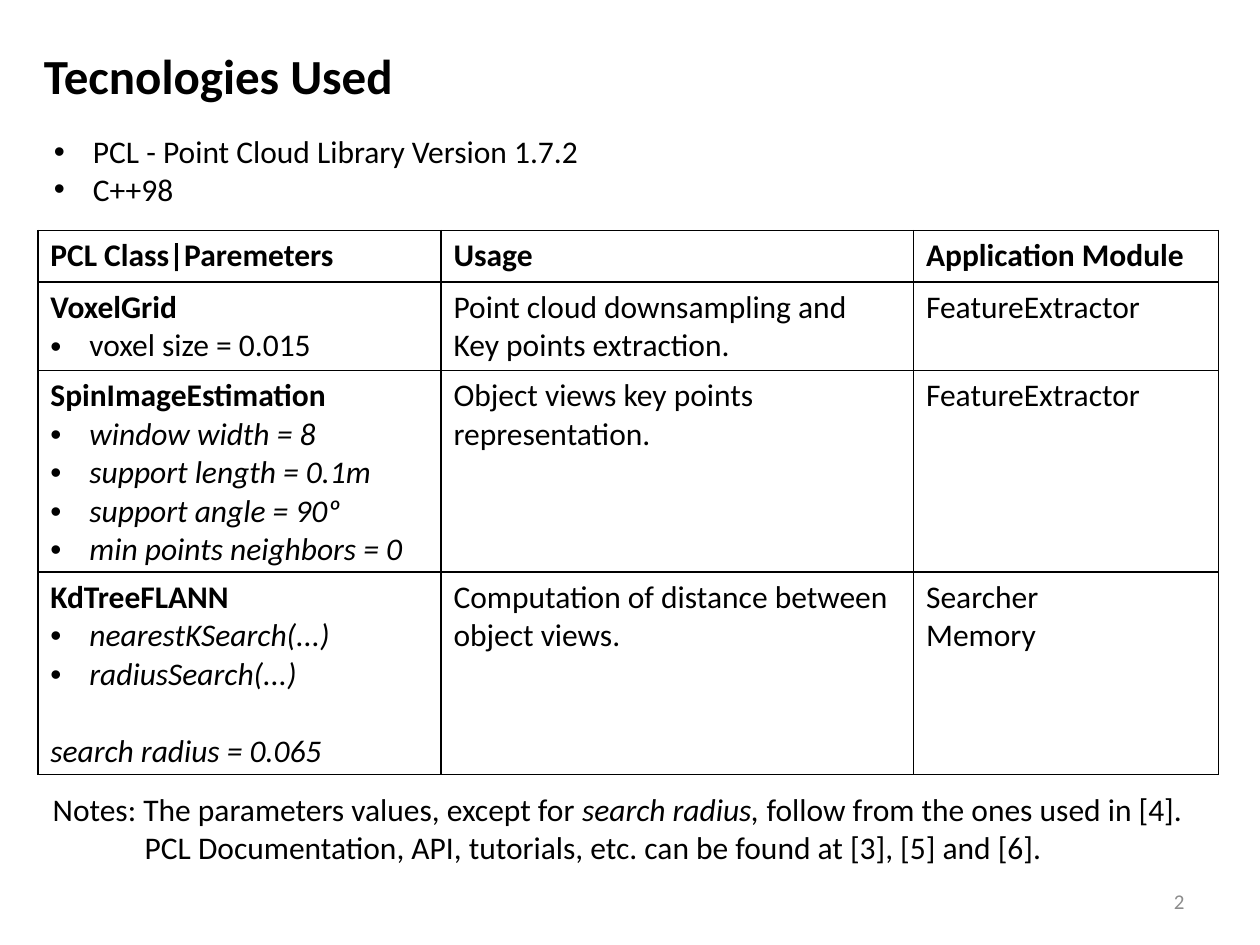
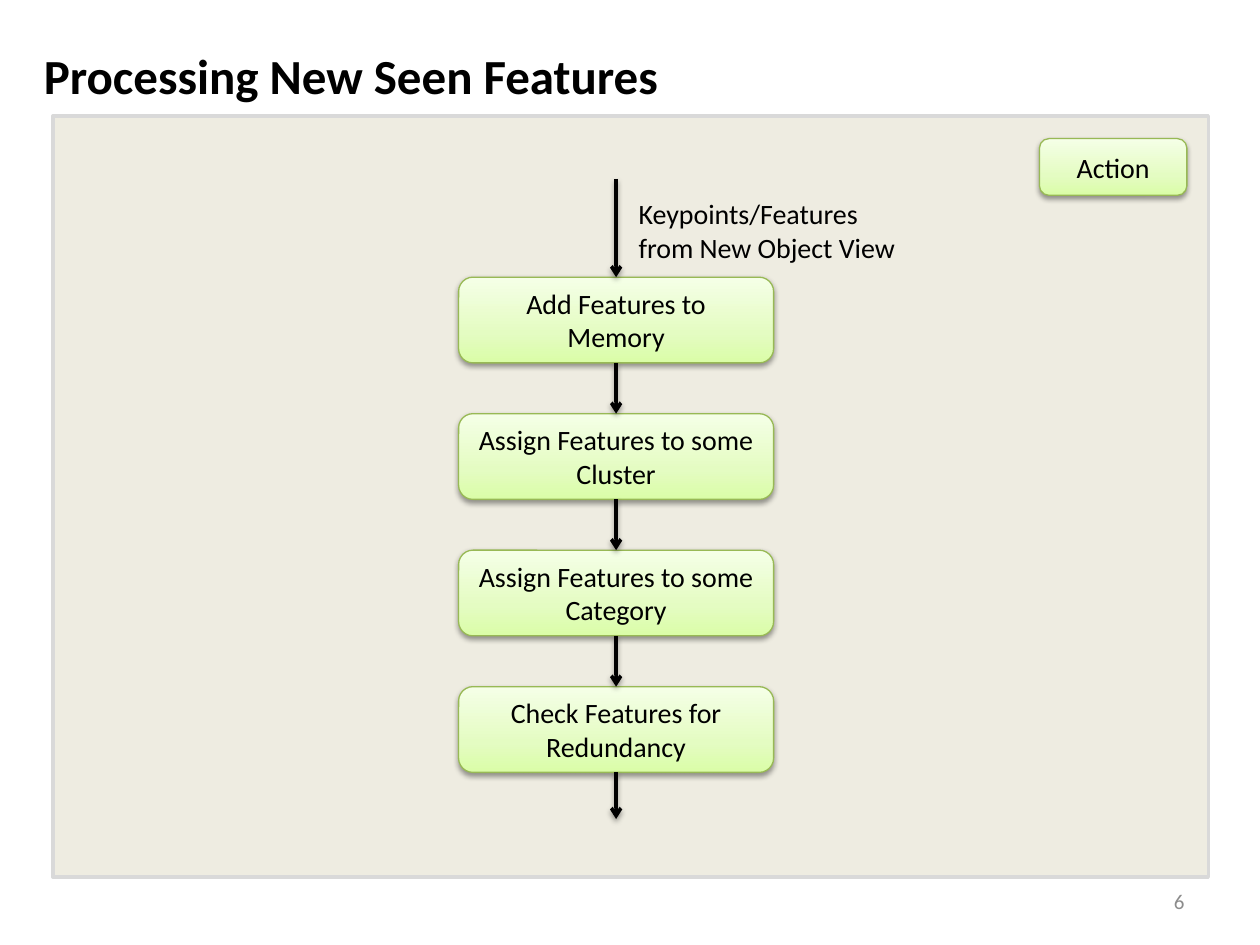
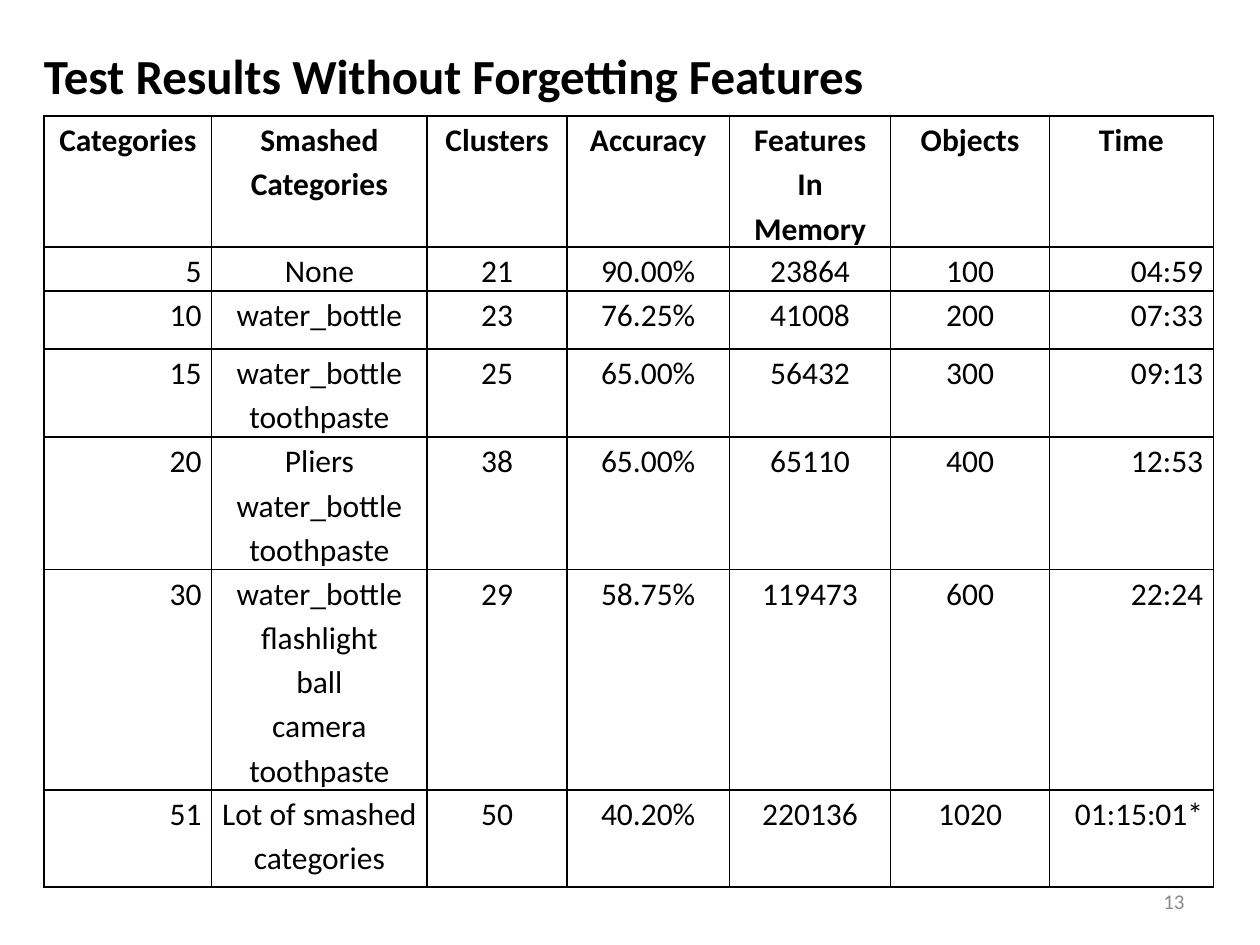
from dataclasses import dataclass

from lxml.etree import SubElement
from pptx import Presentation
from pptx.dml.color import RGBColor
from pptx.enum.shapes import MSO_CONNECTOR, MSO_SHAPE
from pptx.enum.text import MSO_ANCHOR, MSO_AUTO_SIZE, PP_ALIGN
from pptx.oxml.ns import qn
from pptx.util import Inches, Pt


@dataclass(frozen=True)
class Theme:
    font: str = "Calibri"
    text: str = "000000"
    muted: str = "8C8C8C"
    panel: str = "EEECE1"
    panel_edge: str = "D9D9D9"
    step_edge: str = "98B955"
    step_stops: tuple = ((0, "DAFDA7"), (35, "E4FCC2"), (100, "F5FFE7"))
    title_size: int = 28
    body_size: int = 18
    label_size: int = 16
    number_size: int = 12


T = Theme()
LEFT, CENTER, RIGHT, JUSTIFY = (
    PP_ALIGN.LEFT, PP_ALIGN.CENTER, PP_ALIGN.RIGHT, PP_ALIGN.JUSTIFY)


@dataclass
class Para:
    """A paragraph; runs are (text, style), style being "", "b" or "i"."""
    runs: list
    align: PP_ALIGN = LEFT
    bullet: bool = False
    indent: float = 0
    before: int = 0
    spacing: float = 1.0


def line(text, style="", **options):
    return Para([(text, style)], **options)


def bullet(text, style="", **options):
    return line(text, style, bullet=True, indent=0.31, **options)


def rgb(value):
    return RGBColor.from_string(value)


# Text and effects
def write(tf, paras, size, color=T.text):
    tf.word_wrap = True
    for i, para in enumerate(paras):
        p = tf.paragraphs[0] if i == 0 else tf.add_paragraph()
        p.alignment = para.align
        p.line_spacing = para.spacing
        p.space_before = Pt(para.before)
        pPr = p._p.get_or_add_pPr()
        if para.indent:
            pPr.set("marL", str(Inches(para.indent)))
        if para.bullet:
            pPr.set("indent", str(-Inches(para.indent)))
            SubElement(pPr, qn("a:buFont"), typeface="Arial")
            SubElement(pPr, qn("a:buChar"), char="•")
        for text, style in para.runs:
            r = p.add_run()
            r.text = text
            r.font.name = T.font
            r.font.size = Pt(size)
            r.font.bold = style == "b"
            r.font.italic = style == "i"
            r.font.color.rgb = rgb(color)


def add_text(s, box, paras, size, color=T.text, grow=False):
    tb = s.shapes.add_textbox(*map(Inches, box))
    tf = tb.text_frame
    write(tf, paras, size, color)
    if grow:
        tf.auto_size = MSO_AUTO_SIZE.SHAPE_TO_FIT_TEXT
    else:
        tf.vertical_anchor = MSO_ANCHOR.MIDDLE


def add_shadow(shape):
    """Soft shadow straight below; call once the line is set."""
    effects = SubElement(shape._element.spPr, qn("a:effectLst"))
    outer = SubElement(effects, qn("a:outerShdw"), blurRad=str(Pt(3.1)),
                       dist=str(Pt(1.6)), dir="5400000", rotWithShape="0")
    color = SubElement(outer, qn("a:srgbClr"), val=T.text)
    SubElement(color, qn("a:alpha"), val="38000")


# Slide frame: title and number
def new_slide(prs, title, number):
    s = prs.slides.add_slide(prs.slide_layouts[6])
    add_text(s, (0.25, 0.31, 9.5, 0.57), [line(title, "b")], T.title_size, grow=True)
    add_text(s, (7.17, 6.95, 2.33, 0.4), [line(str(number), align=RIGHT)],
             T.number_size, T.muted)
    return s


# Tables
def border_cell(cell):
    tcPr = cell._tc.get_or_add_tcPr()
    for side in ("lnL", "lnR", "lnT", "lnB"):
        ln = SubElement(tcPr, qn(f"a:{side}"), w=str(Pt(1)))
        fill = SubElement(ln, qn("a:solidFill"))
        SubElement(fill, qn("a:srgbClr"), val=T.text)
    cell.fill.background()


def add_grid(s, left, top, widths, heights, rows, margins=None):
    """Ruled table; each cell in rows is a list of paragraphs."""
    box = (left, top, sum(widths), sum(heights))
    table = s.shapes.add_table(len(rows), len(widths), *map(Inches, box)).table
    table.first_row = table.horz_banding = False
    for column, width in zip(table.columns, widths):
        column.width = Inches(width)
    for row, height, contents in zip(table.rows, heights, rows):
        row.height = Inches(height)
        for cell, paras in zip(row.cells, contents):
            if margins:
                cell.margin_left = cell.margin_right = Inches(margins[0])
                cell.margin_top = cell.margin_bottom = Inches(margins[1])
            border_cell(cell)
            write(cell.text_frame, paras, T.body_size)


# Flow chart
def add_step(s, box, text):
    step = s.shapes.add_shape(MSO_SHAPE.FLOWCHART_ALTERNATE_PROCESS,
                              *map(Inches, box))
    step.fill.gradient()
    step.fill.gradient_angle = 90
    stops = step._element.spPr.find(".//" + qn("a:gsLst"))
    for stop in list(stops):
        stops.remove(stop)
    for position, color in T.step_stops:
        stop = SubElement(stops, qn("a:gs"), pos=str(position * 1000))
        SubElement(stop, qn("a:srgbClr"), val=color)
    step.line.color.rgb = rgb(T.step_edge)
    step.line.width = Pt(0.75)
    add_shadow(step)
    step.text_frame.vertical_anchor = MSO_ANCHOR.MIDDLE
    write(step.text_frame, [line(text, align=CENTER)], T.label_size)


def add_down_arrow(s, x, top, bottom):
    arrow = s.shapes.add_connector(MSO_CONNECTOR.STRAIGHT,
                                   *map(Inches, (x, top, x, bottom)))
    arrow.line.color.rgb = rgb(T.text)
    arrow.line.width = Pt(2)
    SubElement(arrow.line._get_or_add_ln(), qn("a:tailEnd"), type="arrow")
    add_shadow(arrow)


def add_panel(s, box):
    panel = s.shapes.add_shape(MSO_SHAPE.RECTANGLE, *map(Inches, box))
    panel.shadow.inherit = False
    panel.fill.solid()
    panel.fill.fore_color.rgb = rgb(T.panel)
    panel.line.color.rgb = rgb(T.panel_edge)
    panel.line.width = Pt(2)


def add_flow(s, box, pitch, step_height, entry, exit_end):
    """Column of steps in box, joined by arrows, with one in and one out."""
    left, top, width = box
    x = left + width / 2
    tops = [top + i * pitch for i in range(len(STEPS))]
    for y, text in zip(tops, STEPS):
        add_step(s, (left, y, width, step_height), text)
    starts = [entry] + [y + step_height for y in tops]
    for start, end in zip(starts, tops + [exit_end]):
        add_down_arrow(s, x, start, end)


# Slide content
PCL_ROWS = [
    [[line(head, "b")] for head in
     ("PCL Class|Paremeters", "Usage", "Application Module")],
    [[line("VoxelGrid", "b"), bullet("voxel size = 0.015")],
     [line("Point cloud downsampling and"), line("Key points extraction.")],
     [line("FeatureExtractor")]],
    [[line("SpinImageEstimation", "b")] + [bullet(text, "i") for text in (
        "window width = 8", "support length = 0.1m",
        "support angle = 90º", "min points neighbors = 0")],
     [line("Object views key points representation.")],
     [line("FeatureExtractor")]],
    [[line("KdTreeFLANN", "b"), bullet("nearestKSearch(...)", "i"),
      bullet("radiusSearch(...)", "i"),
      line("search radius = 0.065", "i", before=22)],
     [line("Computation of distance between object views.")],
     [line("Searcher"), line("Memory")]],
]

STEPS = ["Add Features to Memory", "Assign Features to some Cluster",
         "Assign Features to some Category", "Check Features for Redundancy"]

RESULT_HEADS = ["Categories", "Smashed Categories", "Clusters", "Accuracy",
                "Features In Memory", "Objects", "Time"]
RESULTS = [
    ["5", "None", "21", "90.00%", "23864", "100", "04:59"],
    ["10", "water_bottle", "23", "76.25%", "41008", "200", "07:33"],
    ["15", "water_bottle|toothpaste", "25", "65.00%", "56432", "300", "09:13"],
    ["20", "Pliers|water_bottle|toothpaste", "38", "65.00%", "65110", "400",
     "12:53"],
    ["30", "water_bottle|flashlight|ball|camera|toothpaste", "29", "58.75%",
     "119473", "600", "22:24"],
    ["51", "Lot of smashed categories", "50", "40.20%", "220136", "1020",
     "01:15:01*"],
]
RESULT_ALIGNS = [RIGHT] + [CENTER] * 5 + [RIGHT]


def technologies_slide(prs):
    s = new_slide(prs, "Tecnologies Used", 2)
    add_text(s, (0.33, 1, 9.33, 0.71),
             [bullet("PCL - Point Cloud Library Version 1.7.2", align=JUSTIFY),
              bullet("C++98", align=JUSTIFY)], T.body_size, grow=True)
    add_grid(s, 0.3, 1.83, (3.2, 3.75, 2.42), (0.41, 0.7, 1.6, 1.6), PCL_ROWS)
    notes = Para([("Notes: The parameters values, except for ", ""),
                  ("search radius, ", "i"),
                  ("follow from the ones used in [4].", "")])
    sources = line("PCL Documentation, API, tutorials, etc. can be found at "
                   "[3], [5] and [6].", indent=0.73)
    add_text(s, (0.32, 6.22, 9.35, 0.71), [notes, sources], T.body_size, grow=True)


def processing_slide(prs):
    s = new_slide(prs, "Processing New Seen Features", 6)
    add_panel(s, (0.42, 0.92, 9.17, 6.04))
    add_flow(s, (3.64, 2.2, 2.5), pitch=3.25 / 3, step_height=0.68,
             entry=1.42, exit_end=6.5)
    add_text(s, (4.97, 1.5, 2.28, 0.66),
             [line("Keypoints/Features from New Object View")], T.label_size)
    # Legend
    add_step(s, (8.25, 1.1, 1.17, 0.45), "Action")


def results_slide(prs):
    s = new_slide(prs, "Test Results Without Forgetting Features", 13)
    rows = [[[line(head, "b", align=CENTER, spacing=1.15)]
             for head in RESULT_HEADS]]
    for result in RESULTS:
        rows.append([[line(text, align=align, spacing=1.15)
                      for text in value.split("|")]
                     for value, align in zip(result, RESULT_ALIGNS)])
    add_grid(s, 0.35, 0.92, (1.33, 1.71, 1.11, 1.29, 1.28, 1.26, 1.3),
             (1.04, 0.35, 0.46, 0.7, 1.05, 1.75, 0.77), rows, margins=(0.08, 0))


prs = Presentation()
prs.slide_width, prs.slide_height = Inches(10), Inches(7.5)
technologies_slide(prs)
processing_slide(prs)
results_slide(prs)
prs.save("out.pptx")
